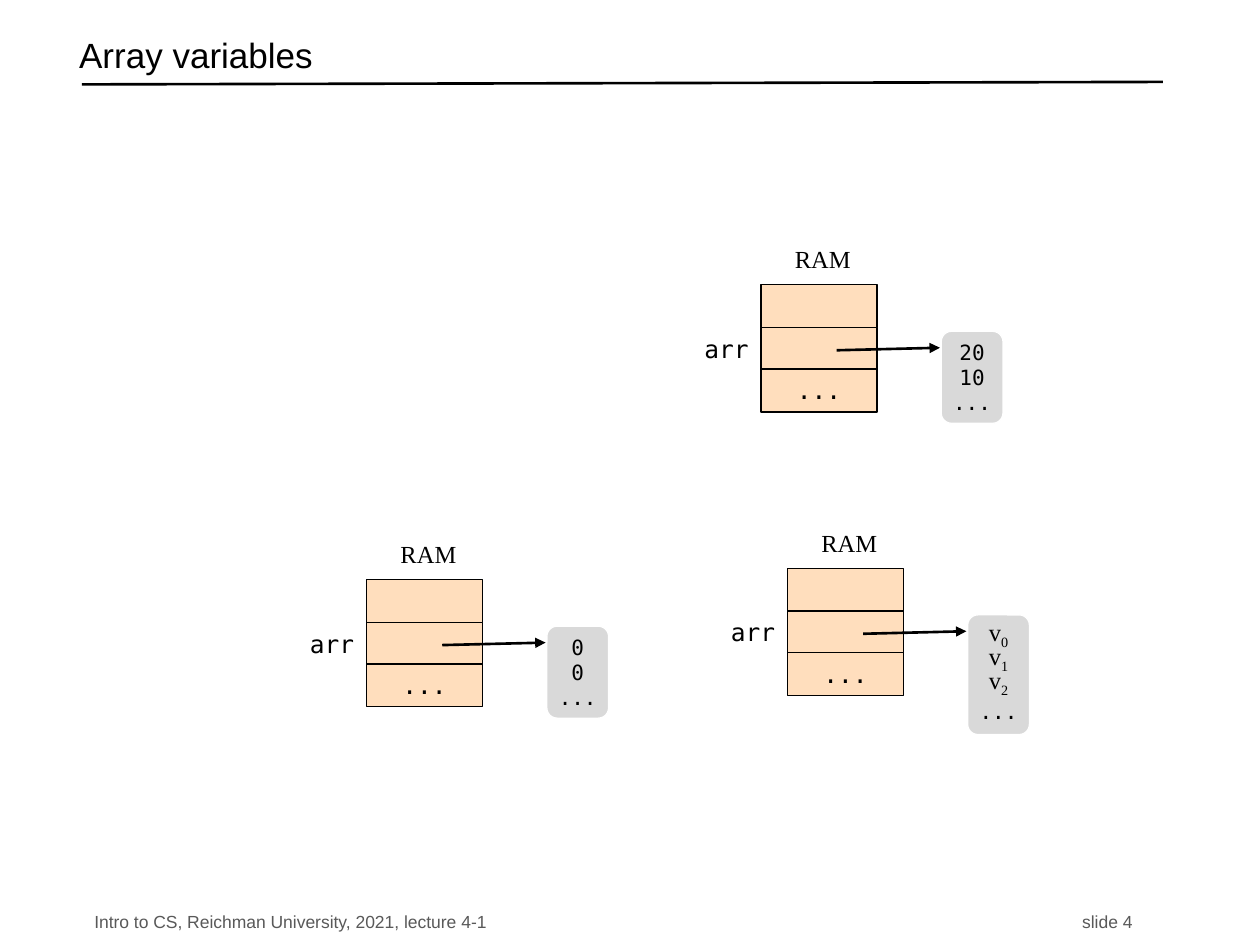
"""Builds a slide showing array variables that refer to arrays from RAM."""
from dataclasses import dataclass

import pptx
import pptx.dml.color
import pptx.enum.shapes
import pptx.enum.text
import pptx.oxml
import pptx.oxml.ns
import pptx.util

ALIGN = pptx.enum.text.PP_ALIGN
ANCHOR = pptx.enum.text.MSO_ANCHOR
SHAPE = pptx.enum.shapes.MSO_SHAPE
SUBSCRIPT = "-25000"


@dataclass(frozen=True)
class Theme:
    ink: str = "000000"
    muted: str = "595959"
    memory: str = "FFDEBD"
    array: str = "D9D9D9"
    paper: str = "FFFFFF"
    sans: str = "Arial"
    serif: str = "Times New Roman"
    mono: str = "DejaVu Sans Mono"
    title: int = 20
    label: int = 14
    value: int = 12
    footer: int = 10
    thin: float = 0.75
    thick: float = 1.5


def color(value):
    return pptx.dml.color.RGBColor.from_string(value)


class SlideBuilder:
    """Draws on the current slide with lengths in a grid of 100 columns by 75 rows."""

    def __init__(self, presentation, theme):
        self.theme = theme
        self.column = presentation.slide_width / 100
        self.row = presentation.slide_height / 75
        self.slide = presentation.slides.add_slide(presentation.slide_layouts[6])
        self.shapes = self.slide.shapes

    def place(self, left, top, width, height):
        return (round(left * self.column), round(top * self.row),
                round(width * self.column), round(height * self.row))

    def run(self, paragraph, text, font, size, ink=None, baseline=None):
        run = paragraph.add_run()
        run.text = text
        run.font.name = font
        run.font.size = pptx.util.Pt(size)
        run.font.color.rgb = color(ink or self.theme.ink)
        if baseline:
            run.font._element.set("baseline", baseline)

    def frame(self, shape, anchor, side=0.1):
        frame = shape.text_frame
        frame.word_wrap = True
        frame.vertical_anchor = anchor
        frame.margin_left = frame.margin_right = pptx.util.Inches(side)
        frame.margin_top = frame.margin_bottom = pptx.util.Inches(0.05)
        return frame

    def text(self, box, text, font, size, align=ALIGN.LEFT, anchor=ANCHOR.TOP, ink=None):
        shape = self.shapes.add_textbox(*self.place(*box))
        paragraph = self.frame(shape, anchor).paragraphs[0]
        paragraph.alignment = align
        if text:
            self.run(paragraph, text, font, size, ink)
        return paragraph

    def block(self, kind, box, fill, outline):
        shape = self.shapes.add_shape(kind, *self.place(*box))
        shape.shadow.inherit = False
        shape.fill.solid()
        shape.fill.fore_color.rgb = color(fill)
        shape.line.color.rgb = color(outline)
        shape.line.width = pptx.util.Pt(self.theme.thin)
        return shape

    def line(self, start, end, arrow=False):
        connector = self.shapes.add_connector(
            pptx.enum.shapes.MSO_CONNECTOR.STRAIGHT,
            *self.place(*start, *end))
        connector.line.color.rgb = color(self.theme.ink)
        connector.line.width = pptx.util.Pt(self.theme.thick)
        namespace = pptx.oxml.ns.nsdecls("a")
        if arrow:
            connector.line._get_or_add_ln().append(
                pptx.oxml.parse_xml(f'<a:tailEnd {namespace} type="triangle"/>'))
        connector._element.spPr.append(pptx.oxml.parse_xml(f"<a:effectLst {namespace}/>"))

    def footer(self, box, left, right):
        theme = self.theme
        paragraph = self.text(box, "", theme.sans, theme.footer, anchor=ANCHOR.MIDDLE)
        position = round(82.4 * self.column)
        paragraph._p.get_or_add_pPr().append(pptx.oxml.parse_xml(
            f'<a:tabLst {pptx.oxml.ns.nsdecls("a")}><a:tab pos="{position}" algn="r"/></a:tabLst>'))
        self.run(paragraph, f"{left}\t{right}", theme.sans, theme.footer, theme.muted)

    def array(self, box, values):
        theme = self.theme
        shape = self.block(SHAPE.ROUNDED_RECTANGLE, box, theme.array, theme.paper)
        frame = self.frame(shape, ANCHOR.MIDDLE, side=0)
        for index, value in enumerate([*values, "..."]):
            paragraph = frame.add_paragraph() if index else frame.paragraphs[0]
            paragraph.alignment = ALIGN.CENTER
            if isinstance(value, tuple):
                name, subscript = value
                paragraph.line_spacing = pptx.util.Pt(13.8)
                self.run(paragraph, name, theme.serif, theme.label)
                self.run(paragraph, subscript, theme.serif, theme.label, baseline=SUBSCRIPT)
            else:
                self.run(paragraph, value, theme.mono, theme.value)

    def memory(self, left, top, values, array_height):
        theme = self.theme
        self.shapes = self.slide.shapes.add_group_shape().shapes
        self.text((left - 10.8, top + 3.4, 10.8, 3.3), "arr",
                  theme.mono, theme.label, ALIGN.RIGHT)
        self.text((left + 1.7, top - 3.7, 12.5, 4.2), "RAM",
                  theme.serif, theme.label, ALIGN.JUSTIFY)
        for offset in (0, 3.4, 6.7):
            cell = self.block(SHAPE.RECTANGLE, (left, top + offset, 9.2, 3.4),
                              theme.memory, theme.ink)
        paragraph = self.frame(cell, ANCHOR.TOP).paragraphs[0]
        paragraph.alignment = ALIGN.CENTER
        self.run(paragraph, "...", theme.mono, theme.label)
        self.array((left + 14.3, top + 3.7, 4.9, array_height), values)
        self.line((left + 6, top + 5.2), (left + 14.2, top + 5), arrow=True)
        self.shapes = self.slide.shapes


def main():
    presentation = pptx.Presentation()
    presentation.slide_width = pptx.util.Inches(10)
    presentation.slide_height = pptx.util.Inches(7.5)
    theme = Theme()
    builder = SlideBuilder(presentation, theme)
    builder.line((6.5, 6.7), (92.3, 6.5))
    builder.footer((6.5, 71.9, 86, 2.5),
                   "Intro to CS, Reichman University, 2021, lecture 4-1", "slide 4")
    title = builder.text((5.3, 2.2, 86, 5), "Array variables",
                         theme.sans, theme.title, anchor=ANCHOR.MIDDLE)
    title.line_spacing = 0.7
    builder.memory(60.4, 22.6, ["20", "10"], 7.3)
    builder.memory(29.1, 46, ["0", "0"], 7.3)
    builder.memory(62.5, 45.1, [("v", index) for index in "012"], 9.5)
    presentation.save("out.pptx")


if __name__ == "__main__":
    main()
